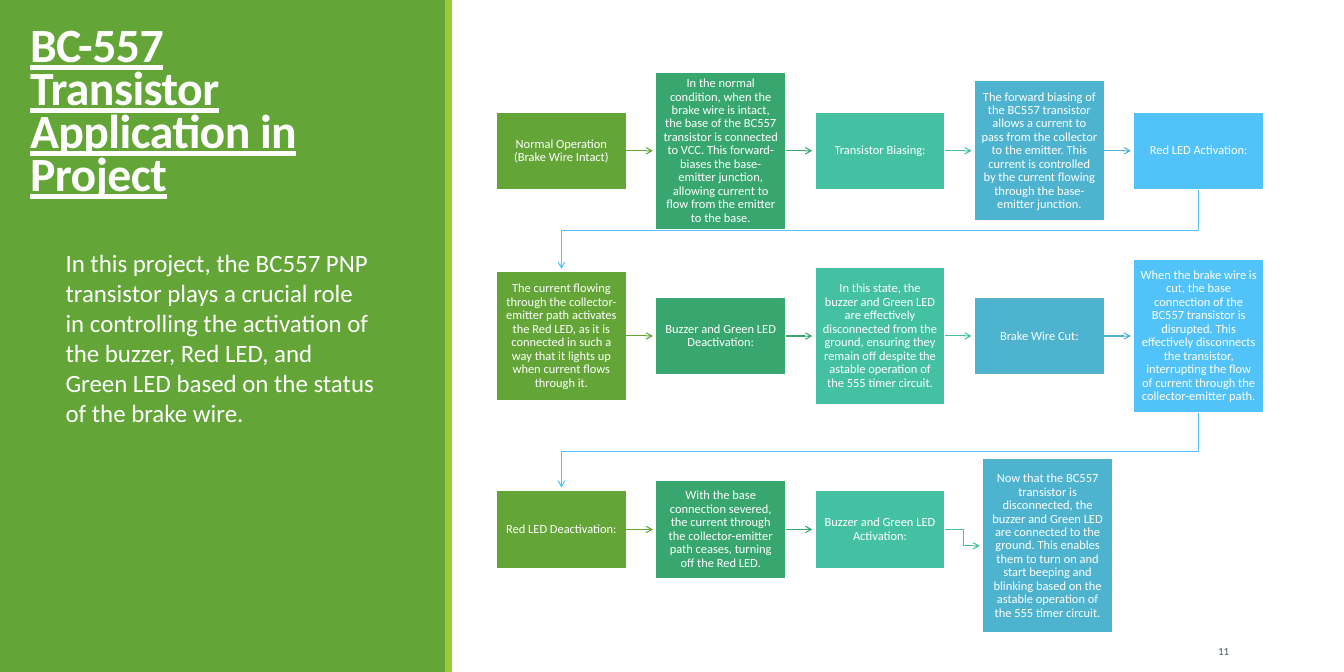
import pptx
import pptx.util
import pptx.dml.color
import pptx.enum.shapes
import pptx.enum.text
import pptx.oxml
import pptx.oxml.ns
import lxml.etree

Cm, Pt = pptx.util.Cm, pptx.util.Pt
KIND = pptx.enum.shapes.MSO_SHAPE
ALIGN = pptx.enum.text.PP_ALIGN
MIDDLE = pptx.enum.text.MSO_ANCHOR.MIDDLE

TITLE = "BC-557 Transistor Application in Project"
BODY = ("In this project, the BC557 PNP transistor plays a crucial role in controlling "
        "the activation of the buzzer, Red LED, and Green LED based on the status of the "
        "brake wire.")
PAGE = "11"

GREEN, LIME, WHITE, DARK = "63A537", "99CB38", "FFFFFF", "455F51"
HUES = [GREEN, "37A76F", "44C1A3", "4EB3CF", "51C3F9"]

# Each row: middle height, then (text, box height) per step, all in cm
ROWS = [
    (5.13, [
        ("Normal Operation (Brake Wire Intact)", 2.64),
        ("In the normal condition, when the brake wire is intact, the base of the BC557 "
         "transistor is connected to VCC. This forward-biases the base-emitter junction, "
         "allowing current to flow from the emitter to the base.", 5.36),
        ("Transistor Biasing:", 2.64),
        ("The forward biasing of the BC557 transistor allows a current to pass from the "
         "collector to the emitter. This current is controlled by the current flowing "
         "through the base-emitter junction.", 4.78),
        ("Red LED Activation:", 2.64),
    ]),
    (11.43, [
        ("The current flowing through the collector-emitter path activates the Red LED, as "
         "it is connected in such a way that it lights up when current flows through it.",
         4.37),
        ("Buzzer and Green LED Deactivation:", 2.64),
        ("In this state, the buzzer and Green LED are effectively disconnected from the "
         "ground, ensuring they remain off despite the astable operation of the 555 timer "
         "circuit.", 4.67),
        ("Brake Wire Cut:", 2.64),
        ("When the brake wire is cut, the base connection of the BC557 transistor is "
         "disrupted. This effectively disconnects the transistor, interrupting the flow of "
         "current through the collector-emitter path.", 5.21),
    ]),
    (18.01, [
        ("Red LED Deactivation:", 2.64),
        ("With the base connection severed, the current through the collector-emitter path "
         "ceases, turning off the Red LED.", 3.33),
        ("Buzzer and Green LED Activation:", 2.64),
        ("Now that the BC557 transistor is disconnected, the buzzer and Green LED are "
         "connected to the ground. This enables them to turn on and start beeping and "
         "blinking based on the astable operation of the 555 timer circuit.", 5.94),
    ]),
]
LEFT, STEP, WIDE = 16.89, 5.42, 4.42
SHIFT = {(2, 3): (0.28, 0.56)}  # the last box sits off the grid
GAP = Cm(0.1)                   # between arrow tip and box


def color(code):
    return pptx.dml.color.RGBColor.from_string(code)


def assign(item, values):
    for name, value in values.items():
        setattr(item, name, value)


def write(shape, text, size, hue, frame=None, para=None, font=None):
    box = shape.text_frame
    assign(box, {"word_wrap": True, **(frame or {})})
    line = box.paragraphs[0]
    assign(line, {"alignment": ALIGN.LEFT, **(para or {})})
    run = line.add_run()
    run.text = text
    assign(run.font, {"name": "Calibri", "size": Pt(size), **(font or {})})
    run.font.color.rgb = color(hue)
    return run


def block(kind, area, fill=None, edge=None):
    shape = slide.shapes.add_shape(kind, *[Cm(v) for v in area])
    shape.shadow.inherit = False
    if fill:
        shape.fill.solid()
        shape.fill.fore_color.rgb = color(fill)
    else:
        shape.fill.background()
    if edge:
        shape.line.color.rgb = color(edge)
        shape.line.width = Pt(1.25)
    else:
        shape.line.fill.background()
    return shape


def label(area):
    return slide.shapes.add_textbox(*[Cm(v) for v in area])


def tip(link, hue):
    """Style a line and give its far end an open arrowhead."""
    link.line.color.rgb = color(hue)
    link.line.width = Pt(1)
    head = lxml.etree.SubElement(link.line._get_or_add_ln(), pptx.oxml.ns.qn("a:tailEnd"))
    head.set("type", "arrow")


def straight(a, b, hue):
    y = a.top + a.height // 2
    link = slide.shapes.add_connector(
        pptx.enum.shapes.MSO_CONNECTOR.STRAIGHT, a.left + a.width, y, b.left - GAP, y)
    link.begin_connect(a, 3)
    tip(link, hue)
    lxml.etree.SubElement(link._element.spPr, pptx.oxml.ns.qn("a:effectLst"))


def bent(points, hue):
    path = slide.shapes.build_freeform(*points[0])
    path.add_line_segments(points[1:], close=False)
    link = path.convert_to_shape()
    link.fill.background()
    tip(link, hue)
    link.shadow.inherit = False


def across(a, b, hue):
    """Join two boxes side by side at different heights."""
    x, end = a.left + a.width, b.left
    mid = (x + end) // 2
    y, low = a.top + a.height // 2, b.top + b.height // 2
    bent([(x, y), (mid, y), (mid, low), (end - GAP, low)], hue)


def down(a, b, hue):
    """Join the end of one row to the start of the next."""
    x, end = a.left + a.width // 2, b.left + b.width // 2
    y, low = a.top + a.height, b.top
    mid = (y + low) // 2
    bent([(x, y), (x, mid), (end, mid), (end, low - GAP)], hue)


deck = pptx.Presentation()
deck.slide_width, deck.slide_height = Cm(45.72), Cm(22.86)
slide = deck.slides.add_slide(deck.slide_layouts[6])

block(KIND.RECTANGLE, (0, 0, 15.19, 22.86), GREEN)
block(KIND.RECTANGLE, (15.14, 0, 0.23, 22.86), LIME)

run = write(block(KIND.OVAL, (-1.24, -0.51, 13.74, 8.81)), TITLE, 46, WHITE,
            {"vertical_anchor": MIDDLE}, {"line_spacing": 0.75, "space_after": Pt(6)},
            {"bold": True, "underline": True})
run._r.get_or_add_rPr().set("spc", "-50")
write(label((1.98, 8.31, 11.02, 6.4)), BODY, 24, WHITE)
write(label((37.97, 21.54, 4.09, 1.22)), PAGE, 10.5, DARK,
      {"vertical_anchor": MIDDLE}, {"alignment": ALIGN.RIGHT, "space_after": Pt(6)})

inset = {f"margin_{side}": Cm(0.23) for side in ("left", "right", "top", "bottom")}
grid = []
for r, (mid, steps) in enumerate(ROWS):
    grid.append([])
    for c, (text, tall) in enumerate(steps):
        dx, dy = SHIFT.get((r, c), (0, 0))
        area = (LEFT + c * STEP + dx, mid + dy - tall / 2, WIDE, tall)
        box = block(KIND.RECTANGLE, area, HUES[c], WHITE)
        write(box, text, 12, WHITE, {"vertical_anchor": MIDDLE, **inset},
              {"alignment": ALIGN.CENTER, "line_spacing": 0.9})
        grid[r].append(box)

for r, row in enumerate(grid):
    for c, (a, b) in enumerate(zip(row, row[1:])):
        join = across if (r, c + 1) in SHIFT else straight
        join(a, b, HUES[c])
for above, below in zip(grid, grid[1:]):
    down(above[-1], below[0], HUES[-1])

deck.save("out.pptx")
